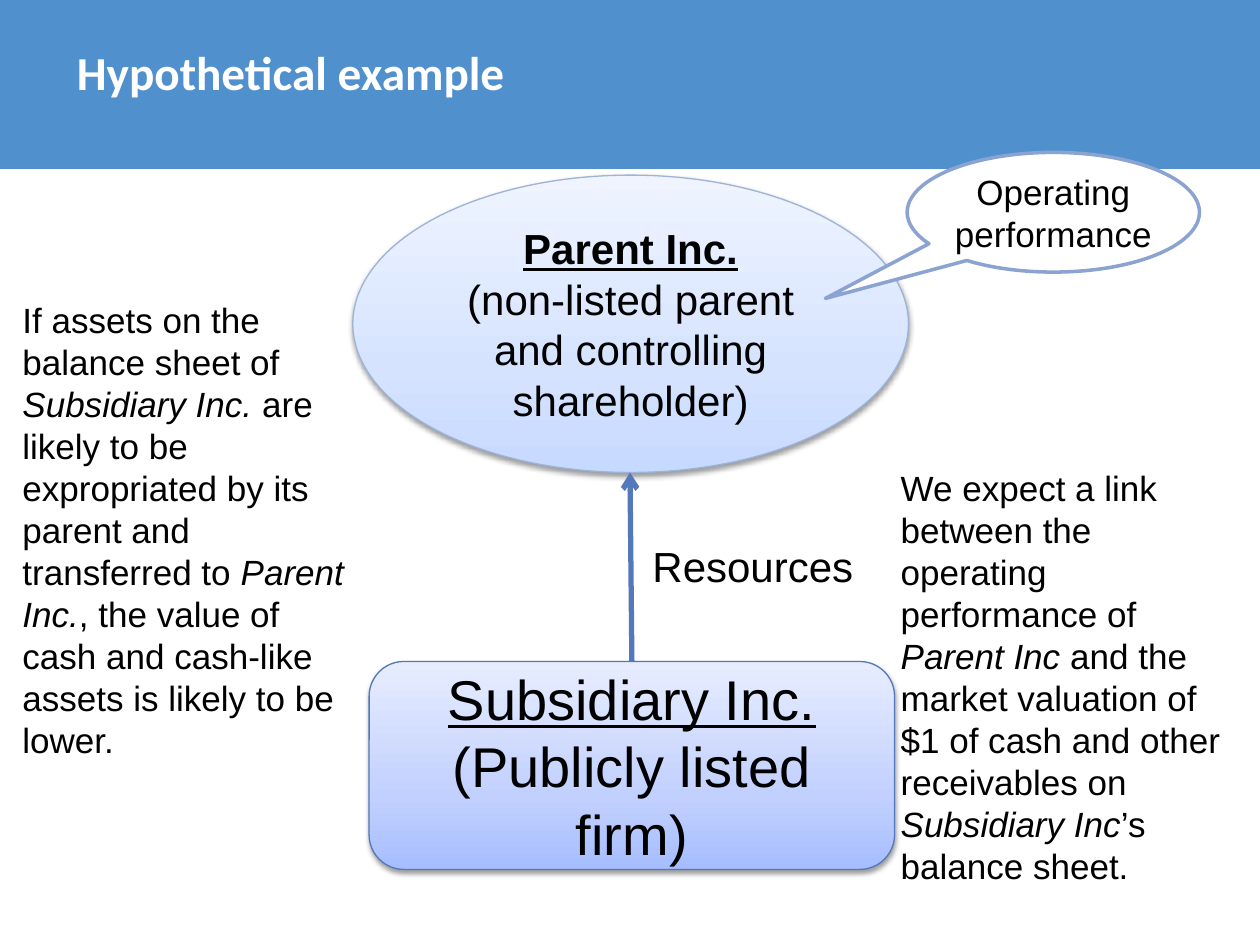
from lxml import etree
from pptx import Presentation
from pptx.dml.color import RGBColor
from pptx.enum import shapes, text
from pptx.oxml.ns import qn
from pptx.util import Inches, Pt

WHITE = RGBColor(0xFF, 0xFF, 0xFF)
BLACK = RGBColor(0, 0, 0)
BANNER = RGBColor(0x50, 0x91, 0xCD)
SUBSIDIARY_LINE = RGBColor(0x53, 0x78, 0xBB)
PARENT_LINE = RGBColor(0x9E, 0xB3, 0xD8)
CALLOUT_LINE = RGBColor(0x8A, 0xA3, 0xD1)
SUBSIDIARY_FILL = [RGBColor(0xA6, 0xBD, 0xFF), RGBColor(0xC1, 0xD0, 0xFE), RGBColor(0xE7, 0xED, 0xFF)]
PARENT_FILL = [RGBColor(0xC6, 0xD9, 0xFF), RGBColor(0xD6, 0xE3, 0xFF), RGBColor(0xEF, 0xF4, 0xFF)]
STOPS = [0, 35, 100]


def style(font, size, color=BLACK, name="Arial"):
    """Set the face, size and colour of a font."""
    font.name, font.size, font.color.rgb = name, Pt(size), color


def fill_gradient(shape, colors):
    """Fill a shape with a three-stop gradient that rises from the bottom."""
    shape.fill.gradient()
    shape.fill.gradient_angle = 90
    stops = shape._element.spPr.find(f".//{qn('a:gsLst')}")
    for stop in list(stops):
        stops.remove(stop)
    for position, color in zip(STOPS, colors):
        stop = etree.SubElement(stops, qn("a:gs"), pos=str(position * 1000))
        etree.SubElement(stop, qn("a:srgbClr"), val=str(color))


def add_soft_shadow(shape):
    """Cast a soft shadow straight below a shape."""
    effects = shape._element.spPr.find(qn("a:effectLst"))
    shadow = etree.SubElement(effects, qn("a:outerShdw"), blurRad=str(Pt(3.1)),
                              dist=str(Pt(1.6)), dir="5400000", rotWithShape="0")
    color = etree.SubElement(shadow, qn("a:srgbClr"), val=str(BLACK))
    etree.SubElement(color, qn("a:alpha"), val="38000")


def add_outlined(slide, kind, box, line, width):
    """Add a preset shape with an outline and no shadow."""
    shape = slide.shapes.add_shape(kind, *map(Inches, box))
    shape.shadow.inherit = False
    shape.line.color.rgb = line
    shape.line.width = Pt(width)
    return shape


def write_centred(shape, lines, size):
    """Write centred lines in the middle of a shape."""
    frame = shape.text_frame
    frame.word_wrap = True
    frame.vertical_anchor = text.MSO_ANCHOR.MIDDLE
    frame.text = "\n".join(lines)
    for paragraph in frame.paragraphs:
        paragraph.alignment = text.PP_ALIGN.CENTER
        style(paragraph.runs[0].font, size)


def add_firm(slide, kind, box, colors, line, lines, size, bold):
    """Add a firm with an underlined name above its description."""
    firm = add_outlined(slide, kind, box, line, 0.75)
    fill_gradient(firm, colors)
    add_soft_shadow(firm)
    write_centred(firm, lines, size)
    name = firm.text_frame.paragraphs[0].runs[0].font
    name.underline, name.bold = True, bold
    return firm


def add_note(slide, box, parts, size):
    """Add a text box in which every second part is italic."""
    frame = slide.shapes.add_textbox(*map(Inches, box)).text_frame
    frame.word_wrap = True
    for index, part in enumerate(parts):
        run = frame.paragraphs[0].add_run()
        run.text = part
        style(run.font, size)
        run.font.italic = index % 2 == 1


def add_banner(slide):
    """Add the blue band behind the title."""
    banner = slide.shapes.add_shape(shapes.MSO_SHAPE.RECTANGLE, 0, 0, Inches(10), Inches(1.34))
    banner.shadow.inherit = False
    banner.fill.solid()
    banner.fill.fore_color.rgb = BANNER
    banner.line.fill.background()
    slide.shapes._spTree.insert(2, banner._element)


def add_title(slide, wording):
    """Place and format the title."""
    title = slide.shapes.title
    title.left, title.top, title.width, title.height = map(Inches, (0.51, 0.29, 9, 1.25))
    frame = title.text_frame
    frame.text = wording
    frame.vertical_anchor = text.MSO_ANCHOR.TOP
    frame.paragraphs[0].alignment = text.PP_ALIGN.LEFT
    font = frame.paragraphs[0].runs[0].font
    style(font, 27, WHITE, "Calibri")
    font.bold = True


def add_arrow(slide, subsidiary, end):
    """Draw the arrow from the top of the subsidiary to a point."""
    x, y = map(Inches, end)
    arrow = slide.shapes.add_connector(shapes.MSO_CONNECTOR.STRAIGHT, x, subsidiary.top, x, y)
    arrow.begin_connect(subsidiary, 0)
    arrow.line.color.rgb = SUBSIDIARY_LINE
    arrow.line.width = Pt(3)
    etree.SubElement(arrow.line._get_or_add_ln(), qn("a:tailEnd"), type="arrow")
    etree.SubElement(arrow._element.spPr, qn("a:effectLst"))


def add_callout(slide, box, wording):
    """Add the speech bubble that points at the parent."""
    callout = add_outlined(slide, shapes.MSO_SHAPE.OVAL_CALLOUT, box, CALLOUT_LINE, 2)
    callout.adjustments[0], callout.adjustments[1] = -0.78, 0.72
    callout.fill.solid()
    callout.fill.fore_color.rgb = WHITE
    write_centred(callout, [wording], 20)
    frame = callout.text_frame
    frame.margin_left = frame.margin_top = frame.margin_right = frame.margin_bottom = 0


def main():
    """Build the slide and save it."""
    deck = Presentation()
    deck.slide_width, deck.slide_height = Inches(10), Inches(7.5)
    slide = deck.slides.add_slide(deck.slide_layouts[5])
    add_banner(slide)
    add_title(slide, "Hypothetical example")
    subsidiary = add_firm(slide, shapes.MSO_SHAPE.ROUNDED_RECTANGLE, (2.93, 5.25, 4.17, 1.65),
                          SUBSIDIARY_FILL, SUBSIDIARY_LINE,
                          ["Subsidiary Inc.", "(Publicly listed firm)"], 32, False)
    add_firm(slide, shapes.MSO_SHAPE.OVAL, (2.8, 1.39, 4.41, 2.36), PARENT_FILL, PARENT_LINE,
             ["Parent Inc.", "(non-listed parent and controlling shareholder)"], 24, True)
    add_arrow(slide, subsidiary, (5, 3.75))
    add_note(slide, (0.08, 2.32, 2.76, 3.8), [
        "If assets on the balance sheet of ", "Subsidiary Inc. ",
        "are likely to be expropriated by its parent and transferred to ", "Parent Inc.",
        ", the value of cash and cash-like assets is likely to be lower."], 20)
    add_note(slide, (5.08, 4.24, 1.84, 0.5), ["Resources"], 24)
    add_note(slide, (7.05, 3.65, 2.87, 3.47), [
        "We expect a link between the operating performance of ", "Parent Inc",
        " and the market valuation of $1 of cash and other receivables on ", "Subsidiary Inc",
        "’s balance sheet."], 20)
    add_callout(slide, (7.2, 1.21, 2.32, 0.95), "Operating performance")
    deck.save("out.pptx")


if __name__ == "__main__":
    main()
